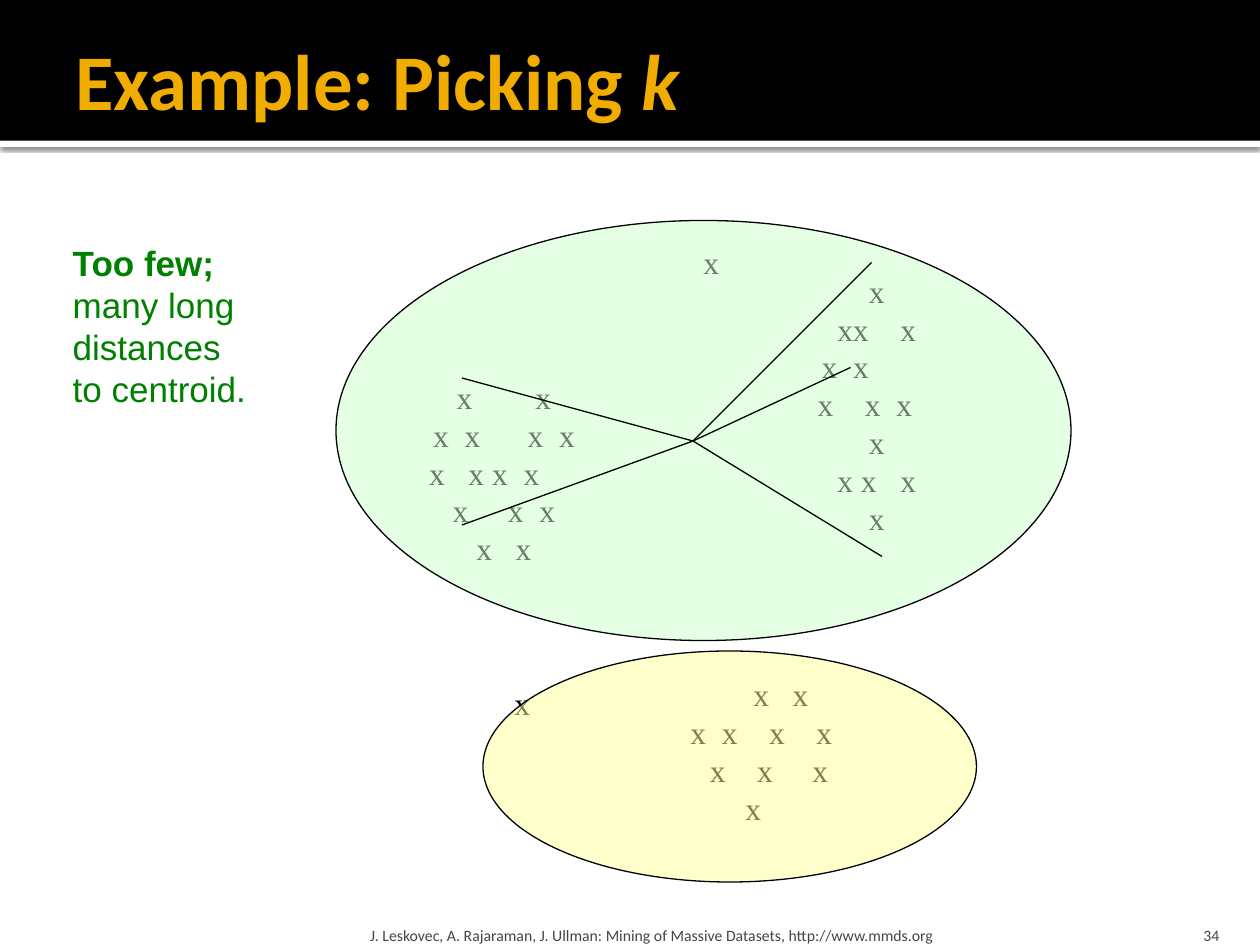
"""Build a slide on picking k: two large clusters with long distances to a centroid."""
from lxml.etree import SubElement
from pptx import Presentation
from pptx.dml.color import RGBColor
from pptx.enum.shapes import MSO_CONNECTOR, MSO_SHAPE
from pptx.enum.text import MSO_ANCHOR, PP_ALIGN
from pptx.oxml.ns import qn
from pptx.util import Inches, Pt

hue = RGBColor.from_string
unit = Inches(1 / 12)
space = Pt(4.5)
deck = Presentation()
deck.slide_width, deck.slide_height = 120 * unit, 90 * unit
slide = deck.slides.add_slide(deck.slide_layouts[5])
shapes = slide.shapes


def draw(kind, grid, fill=None, line=None):
    """Add a preset shape on the grid."""
    shape = shapes.add_shape(kind, *[int(n * unit) for n in grid])
    shape.shadow.inherit = False
    if fill:
        shape.fill.solid()
        shape.fill.fore_color.rgb = hue(fill)
    else:
        shape.fill.background()
    if line:
        shape.line.color.rgb = hue(line)
        shape.line.width = Pt(0.75)
    else:
        shape.line.fill.background()
    return shape


def write(frame, rows, size, face, color, align=PP_ALIGN.LEFT):
    """Fill a text frame with one paragraph per row."""
    frame.text = "\n".join(rows)
    for para in frame.paragraphs:
        para.alignment = align
        para.font.size, para.font.name = Pt(size), face
        para.font.color.rgb = hue(color)


strip = draw(MSO_SHAPE.RECTANGLE, (0, 13.4, 120, 0.6), "FFFFFF")
glow = SubElement(strip._element.spPr.find(qn("a:effectLst")), qn("a:outerShdw"),
                  blurRad=str(Pt(2.5)), dist=str(Pt(0.8)), dir="5400000", rotWithShape="0")
shade = SubElement(glow, qn("a:srgbClr"), val="000000")
SubElement(shade, qn("a:alpha"), val="60000")
draw(MSO_SHAPE.RECTANGLE, (0, 0, 120, 13.4), "000000")

title = shapes.title
shapes._spTree.append(title._element)
title.left, title.top, title.width, title.height = 6 * unit, 2 * unit, 108 * unit, 11 * unit
frame = title.text_frame
frame.vertical_anchor = MSO_ANCHOR.MIDDLE
frame.margin_right = Inches(0.05)
write(frame, ["Example: Picking "], 45, "Calibri", "F0AD00")
head = frame.paragraphs[0]
head.font.bold = True
head.add_run().text = "k"
head.runs[1].font.italic = True

feet = [
    (34.65, 72.2, 0.05, PP_ALIGN.LEFT,
     "J. Leskovec, A. Rajaraman, J. Ullman: Mining of Massive Datasets, http://www.mmds.org"),
    (107.7, 9.6, 0.1, PP_ALIGN.RIGHT, "34"),
]
for col, wide, pad, align, words in feet:
    box = shapes.add_textbox(int(col * unit), int(86.4 * unit), int(wide * unit), int(3.6 * unit))
    frame = box.text_frame
    frame.word_wrap = True
    frame.vertical_anchor = MSO_ANCHOR.BOTTOM
    frame.margin_left = frame.margin_right = Inches(pad)
    frame.margin_bottom = 0
    write(frame, [words], 9, "Calibri", "454545", align)

clouds = [
    ((36, 30, 24, 30),
     ["x........x", "x..x......x..x", "x...x x..x.....", "x.....x..x", "x...x"]),
    ((72, 20, 23, 37),
     ["x", "xx....x", "x..x........", "x....x..x...", "x", "x x...x", "x"]),
    ((60, 61, 25, 21),
     [".....x...x", "x..x....x....x", "..x....x.....x", "x.."]),
]
for grid, rows in clouds:
    cloud = draw(MSO_SHAPE.OVAL, grid)
    frame = cloud.text_frame
    frame.word_wrap = True
    frame.vertical_anchor = MSO_ANCHOR.MIDDLE
    frame.margin_left = frame.margin_right = 0
    words = [[word for word in row.split(".") if word] for row in rows]
    write(frame, ["\t" + "\t".join(row) for row in words], 18, "Times New Roman", "000000")
    for para, row in zip(frame.paragraphs, rows):
        stops = para._p.get_or_add_pPr()
        tabs = stops.makeelement(qn("a:tabLst"))
        stops.insert(0, tabs)
        spot = cloud.width * 0.5 ** 0.5 / 2 - (len(row) + row.count("x")) * space / 2
        last = "."
        for mark in row:
            if mark == "x" and last == ".":
                SubElement(tabs, qn("a:tab"), pos=str(int(spot)), algn="l")
            spot += space * (2 if mark == "x" else 1)
            last = mark

notes = [
    ((65.8, 22.6, 4.4, 6), ["x"], 18, "Times New Roman", "000000"),
    ((47.8, 64.6, 4.4, 6), ["x"], 18, "Times New Roman", "000000"),
    ((5.75, 22.4, 19, 17.4), ["Too few;", "many long", "distances", "to centroid."],
     20, "Arial", "008000"),
]
for grid, rows, size, face, color in notes:
    note = shapes.add_textbox(*[int(n * unit) for n in grid])
    note.text_frame.word_wrap = False
    write(note.text_frame, rows, size, face, color)
note.text_frame.paragraphs[0].font.bold = True

for grid, fill in [((32, 21, 70, 40), "CCFFCC"), ((46, 62, 47, 22), "FFFF99")]:
    group = draw(MSO_SHAPE.OVAL, grid, fill, "000000")
    paint = group._element.spPr.find(qn("a:solidFill"))
    SubElement(paint[0], qn("a:alpha"), val="50000")

for col, row in [(44, 36), (44, 50), (84, 53), (81, 35), (83, 25)]:
    ray = shapes.add_connector(MSO_CONNECTOR.STRAIGHT, 66 * unit, 42 * unit, col * unit, row * unit)
    ray.line.color.rgb = hue("000000")
    ray.line.width = Pt(0.75)
    SubElement(ray._element.spPr, qn("a:effectLst"))

deck.save("out.pptx")
